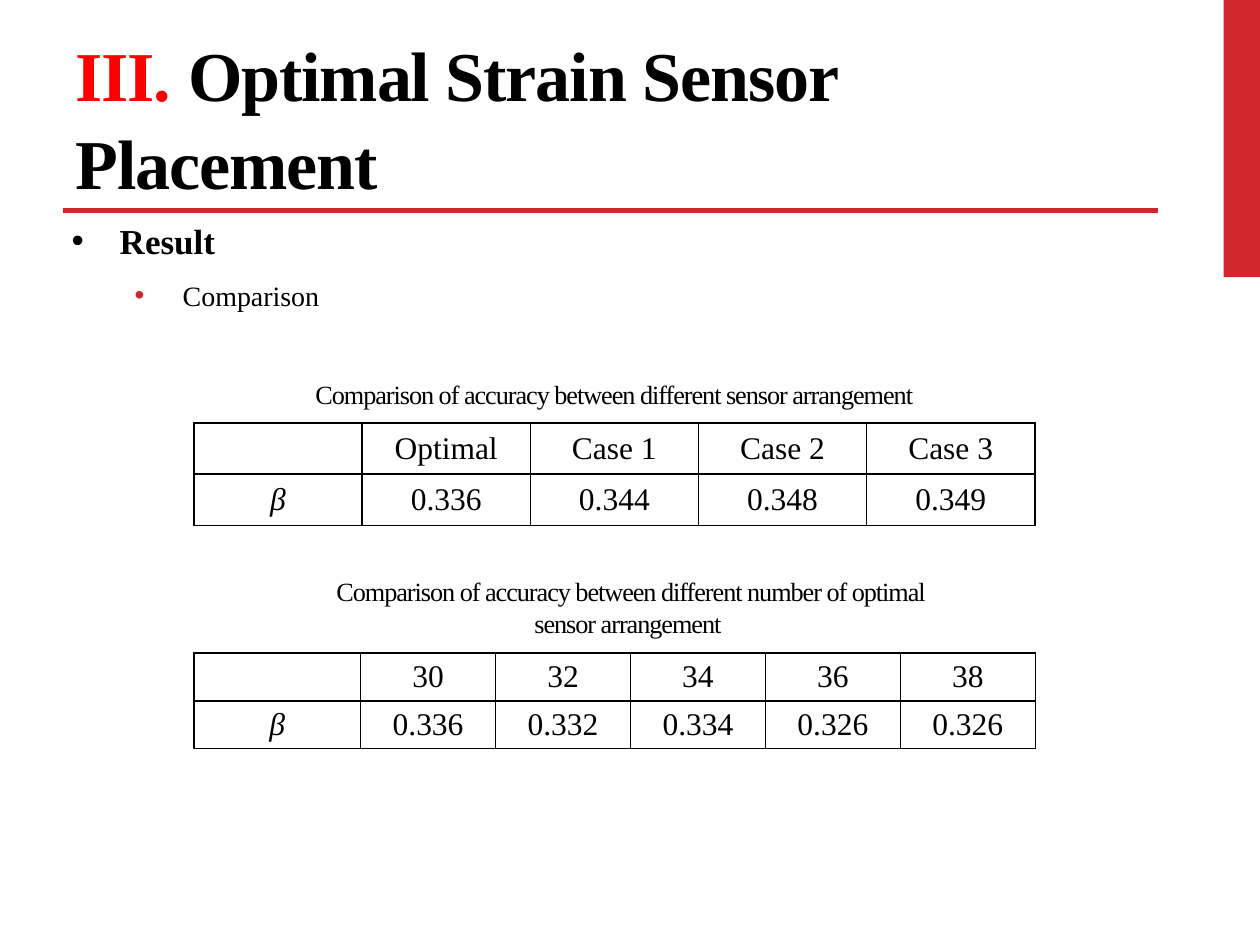
import pptx
import pptx.util
import pptx.dml.color
import pptx.enum.shapes
import pptx.enum.text
import pptx.oxml
import pptx.oxml.ns
from lxml import etree

Cm = pptx.util.Cm
Pt = pptx.util.Pt
PP_ALIGN = pptx.enum.text.PP_ALIGN
MSO_ANCHOR = pptx.enum.text.MSO_ANCHOR
RECT = pptx.enum.shapes.MSO_SHAPE.RECTANGLE
qn = pptx.oxml.ns.qn

BLACK = pptx.dml.color.RGBColor(0x00, 0x00, 0x00)
WHITE = pptx.dml.color.RGBColor(0xFF, 0xFF, 0xFF)
RED = pptx.dml.color.RGBColor(0xFF, 0x00, 0x00)
CRIMSON = pptx.dml.color.RGBColor(0xD1, 0x28, 0x2E)
FONT = "Times New Roman"


def add_run(p, text, size, color=BLACK, bold=False, italic=False, spacing=None):
    r = p.add_run()
    r.text = text
    r.font.name = FONT
    r.font.size = Pt(size)
    r.font.color.rgb = color
    r.font.bold = bold
    r.font.italic = italic
    if spacing is not None:
        r.font._element.set("spc", str(spacing))


def add_rect(s, left, top, width, height, color):
    sp = s.shapes.add_shape(RECT, Cm(left), Cm(top), Cm(width), Cm(height))
    sp.shadow.inherit = False
    sp.fill.solid()
    sp.fill.fore_color.rgb = color
    sp.line.fill.background()
    return sp


prs = pptx.Presentation()
prs.slide_width = Cm(25.4)
prs.slide_height = Cm(19.05)
s = prs.slides.add_slide(prs.slide_layouts[1])

add_rect(s, 24.67, 0, 0.73, 5.59, CRIMSON)

title = s.shapes.title
title.left, title.top, title.width, title.height = Cm(1.27), Cm(0.43), Cm(18.14), Cm(3.81)
tf = title.text_frame
tf.word_wrap = True
tf.auto_size = pptx.enum.text.MSO_AUTO_SIZE.NONE
tf.vertical_anchor = MSO_ANCHOR.BOTTOM
p = tf.paragraphs[0]
p.alignment = PP_ALIGN.LEFT
p.line_spacing = 1.05
add_run(p, "III. ", 40, RED, bold=True, spacing=-60)
add_run(p, "Optimal Strain Sensor Placement", 40, bold=True, spacing=-60)

rule = s.shapes.add_connector(
    pptx.enum.shapes.MSO_CONNECTOR.STRAIGHT, Cm(1.27), Cm(4.24), Cm(23.34), Cm(4.24))
rule.line.color.rgb = CRIMSON
rule.line.width = Pt(3)
etree.SubElement(rule._element.spPr, qn("a:effectLst"))

body = s.placeholders[1]
body.left, body.top, body.width, body.height = Cm(1.19), Cm(4.29), Cm(21.16), Cm(11.08)
tf = body.text_frame
tf.word_wrap = True
tf.auto_size = pptx.enum.text.MSO_AUTO_SIZE.NONE
items = [("Result", 20, True, 0.97, BLACK, 0), ("Comparison", 16, False, 2.24, CRIMSON, 4)]
for level, (text, size, bold, margin, bullet_color, before) in enumerate(items):
    p = tf.paragraphs[0] if level == 0 else tf.add_paragraph()
    p.level = level
    p.alignment = PP_ALIGN.JUSTIFY
    p.space_before = Pt(before)
    p.space_after = Pt(6)
    pPr = p._p.get_or_add_pPr()
    pPr.set("marL", str(Cm(margin)))
    pPr.set("indent", str(-Cm(0.97)))
    color = etree.SubElement(pPr, qn("a:buClr"))
    etree.SubElement(color, qn("a:srgbClr")).set("val", str(bullet_color))
    etree.SubElement(pPr, qn("a:buFont")).set("typeface", "Arial")
    etree.SubElement(pPr, qn("a:buChar")).set("char", "•")
    add_run(p, text, size, bold=bold)

tables = [
    (8.53, 1.03, 3.39, 3.39,
     [["", "Optimal", "Case 1", "Case 2", "Case 3"],
      ["β", "0.336", "0.344", "0.348", "0.349"]]),
    (13.16, 0.95, 3.36, 2.72,
     [["", "30", "32", "34", "36", "38"],
      ["β", "0.336", "0.332", "0.334", "0.326", "0.326"]]),
]
for top, row_height, first_width, width, rows in tables:
    count = len(rows[0])
    total = first_width + width * (count - 1)
    table = s.shapes.add_table(
        len(rows), count, Cm(3.91), Cm(top), Cm(total), Cm(row_height * len(rows))).table
    table.first_row = False
    table.horz_banding = False
    for i, column in enumerate(table.columns):
        column.width = Cm(width if i else first_width)
    for row, values in zip(table.rows, rows):
        row.height = Cm(row_height)
        for cell, text in zip(row.cells, values):
            cell.margin_top = cell.margin_bottom = Cm(0.1)
            cell.vertical_anchor = MSO_ANCHOR.MIDDLE
            tcPr = cell._tc.get_or_add_tcPr()
            for side in ("a:lnL", "a:lnR", "a:lnT", "a:lnB"):
                ln = etree.SubElement(tcPr, qn(side), w=str(Pt(1)))
                fill = etree.SubElement(ln, qn("a:solidFill"))
                etree.SubElement(fill, qn("a:srgbClr")).set("val", str(BLACK))
            cell.fill.background()
            p = cell.text_frame.paragraphs[0]
            p.alignment = PP_ALIGN.CENTER
            if text:
                add_run(p, text, 18, italic=text == "β")

captions = [
    (6.05, 7.49, 0.89, "Comparison of accuracy between different sensor arrangement"),
    (6.38, 11.46, 1.55,
     "Comparison of accuracy between different number of optimal sensor arrangement "),
]
for left, top, height, text in captions:
    sp = add_rect(s, left, top, 12.67, height, WHITE)
    tf = sp.text_frame
    tf.word_wrap = True
    tf.auto_size = pptx.enum.text.MSO_AUTO_SIZE.SHAPE_TO_FIT_TEXT
    p = tf.paragraphs[0]
    p.alignment = PP_ALIGN.CENTER
    add_run(p, text, 15, spacing=-60)

prs.save("out.pptx")
